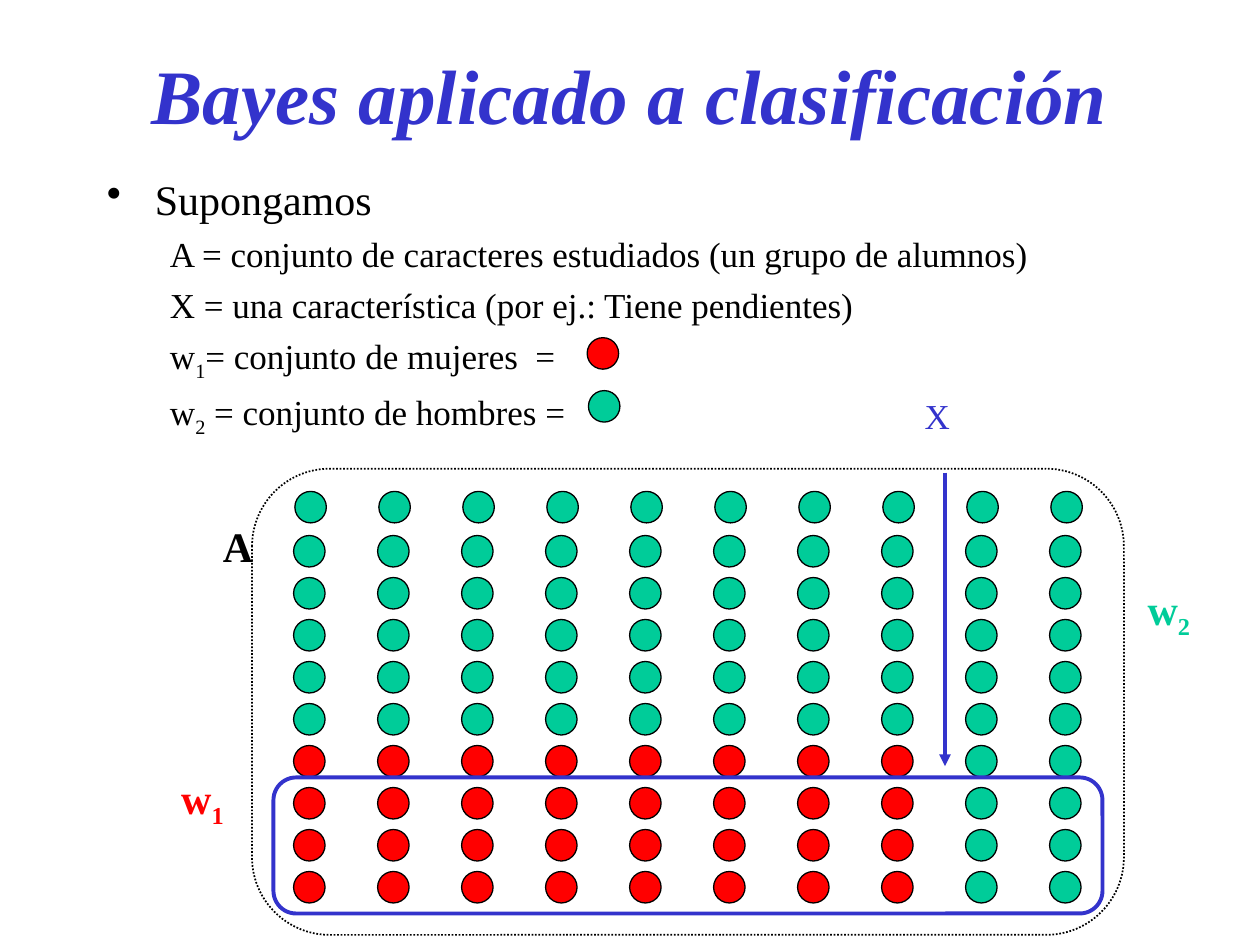
from lxml import etree
from pptx import Presentation
from pptx.dml.color import RGBColor
from pptx.enum.dml import MSO_LINE
from pptx.enum.shapes import MSO_CONNECTOR, MSO_SHAPE
from pptx.enum.text import MSO_ANCHOR, PP_ALIGN
from pptx.oxml.ns import qn
from pptx.util import Inches, Pt

OVAL = MSO_SHAPE.OVAL
ROUND = MSO_SHAPE.ROUNDED_RECTANGLE
LINE = MSO_CONNECTOR.STRAIGHT
DOTTED = MSO_LINE.ROUND_DOT
MIDDLE = MSO_ANCHOR.MIDDLE
CENTER = PP_ALIGN.CENTER

FACE = "Times New Roman"
BLACK, BLUE, RED, GREEN = "000000", "3333CC", "FF0000", "00CC99"
DOT = 0.25
COLS, ROWS = 10, 9
RED_COLS, RED_ROW = 8, 5

HEAD = {"size": Pt(44), "bold": True, "italic": True}
MAIN = {"size": Pt(24)}
SUB = {"size": Pt(20)}
LABEL = {"size": Pt(24), "bold": True}

# Each line is a list of runs; a run starting with "_" is a subscript.
LINES = [
    ["A = conjunto de caracteres estudiados (un grupo de alumnos)"],
    ["X = una característica (por ej.: Tiene pendientes)"],
    ["w", "_1", "= conjunto de mujeres  ="],
    ["w", "_2", " = conjunto de hombres ="],
]


def paint(hue):
    return RGBColor.from_string(hue)


def box(x, y, w, h):
    return [Inches(v) for v in (x, y, w, h)]


def add_runs(para, parts, form, hue=BLACK):
    """Write the parts as runs, with those that start with "_" lowered."""
    for part in parts:
        run = para.add_run()
        run.text = part.lstrip("_")
        for key, value in form.items():
            setattr(run.font, key, value)
        run.font.name = FACE
        run.font.color.rgb = paint(hue)
        if part.startswith("_"):
            run.font._element.set("baseline", "-25000")


def indent(para, left, first, gap):
    para.space_before = Pt(gap)
    props = para._p.get_or_add_pPr()
    props.set("marL", str(Inches(left)))
    props.set("indent", str(Inches(first)))
    return props


def add_title(slide, text):
    title = slide.shapes.title
    title.left, title.top, title.width, title.height = box(0.75, 0.12, 8.5, 1.25)
    title.text_frame.vertical_anchor = MIDDLE
    para = title.text_frame.paragraphs[0]
    para.alignment = CENTER
    add_runs(para, [text], HEAD, BLUE)


def add_body(slide):
    frame = slide.shapes.add_textbox(*box(0.75, 1.33, 9.25, 4.5)).text_frame
    frame.word_wrap = True
    para = frame.paragraphs[0]
    props = indent(para, 0.38, -0.38, 6)
    etree.SubElement(props, qn("a:buChar"), char="•")
    add_runs(para, ["Supongamos"], MAIN)
    for parts in LINES:
        para = frame.add_paragraph()
        para.level = 1
        indent(para, 0.81, -0.31, 5)
        add_runs(para, parts, SUB)


def add_label(slide, place, parts, hue, form=LABEL):
    frame = slide.shapes.add_textbox(*box(*place)).text_frame
    frame.word_wrap = False
    add_runs(frame.paragraphs[0], parts, form, hue)


def add_dot(slide, x, y, hue):
    dot = slide.shapes.add_shape(OVAL, *box(x, y, DOT, DOT))
    dot.shadow.inherit = False
    dot.fill.solid()
    dot.fill.fore_color.rgb = paint(hue)
    dot.line.color.rgb = paint(BLACK)
    dot.line.width = Pt(0.75)


def add_frame(slide, place, hue, width, dash=None):
    frame = slide.shapes.add_shape(ROUND, *box(*place))
    frame.shadow.inherit = False
    frame.fill.background()
    frame.line.color.rgb = paint(hue)
    frame.line.width = Pt(width)
    frame.line.dash_style = dash


def add_arrow(slide, x, top, end):
    arrow = slide.shapes.add_connector(LINE, *box(x, top, x, end))
    arrow.line.color.rgb = paint(BLUE)
    arrow.line.width = Pt(2.25)
    etree.SubElement(arrow.line._get_or_add_ln(), qn("a:tailEnd"), type="triangle")
    etree.SubElement(arrow._element.spPr, qn("a:effectLst"))


def add_grid(slide):
    for col in range(COLS):
        for row in range(ROWS):
            is_red = col < RED_COLS and row >= RED_ROW
            add_dot(slide, 2.33 + col * 2 / 3, 4.25 + row / 3, RED if is_red else GREEN)


def add_top_row(slide):
    for col in range(COLS):
        add_dot(slide, 2.34 + col * 2 / 3, 3.9, GREEN)


def main():
    deck = Presentation()
    deck.slide_width, deck.slide_height = Inches(10), Inches(7.5)
    slide = deck.slides.add_slide(deck.slide_layouts[5])

    add_title(slide, "Bayes aplicado a clasificación")
    add_body(slide)
    add_label(slide, (7.24, 3.08, 0.4, 0.4), ["X"], BLUE, SUB)
    add_grid(slide)
    add_label(slide, (1.34, 6.08, 0.54, 0.56), ["w", "_1"], RED)
    add_label(slide, (1.67, 4.08, 0.44, 0.5), ["A"], BLACK)
    add_frame(slide, (2, 3.72, 6.92, 3.7), BLACK, 1, DOTTED)
    add_dot(slide, 4.66, 2.68, RED)
    add_dot(slide, 4.67, 3.1, GREEN)
    add_label(slide, (9.01, 4.58, 0.54, 0.56), ["w", "_2"], GREEN)
    add_frame(slide, (2.17, 6.17, 6.58, 1.08), BLUE, 2.25)
    add_arrow(slide, 7.5, 3.75, 6.08)
    add_top_row(slide)
    deck.save("out.pptx")


if __name__ == "__main__":
    main()
